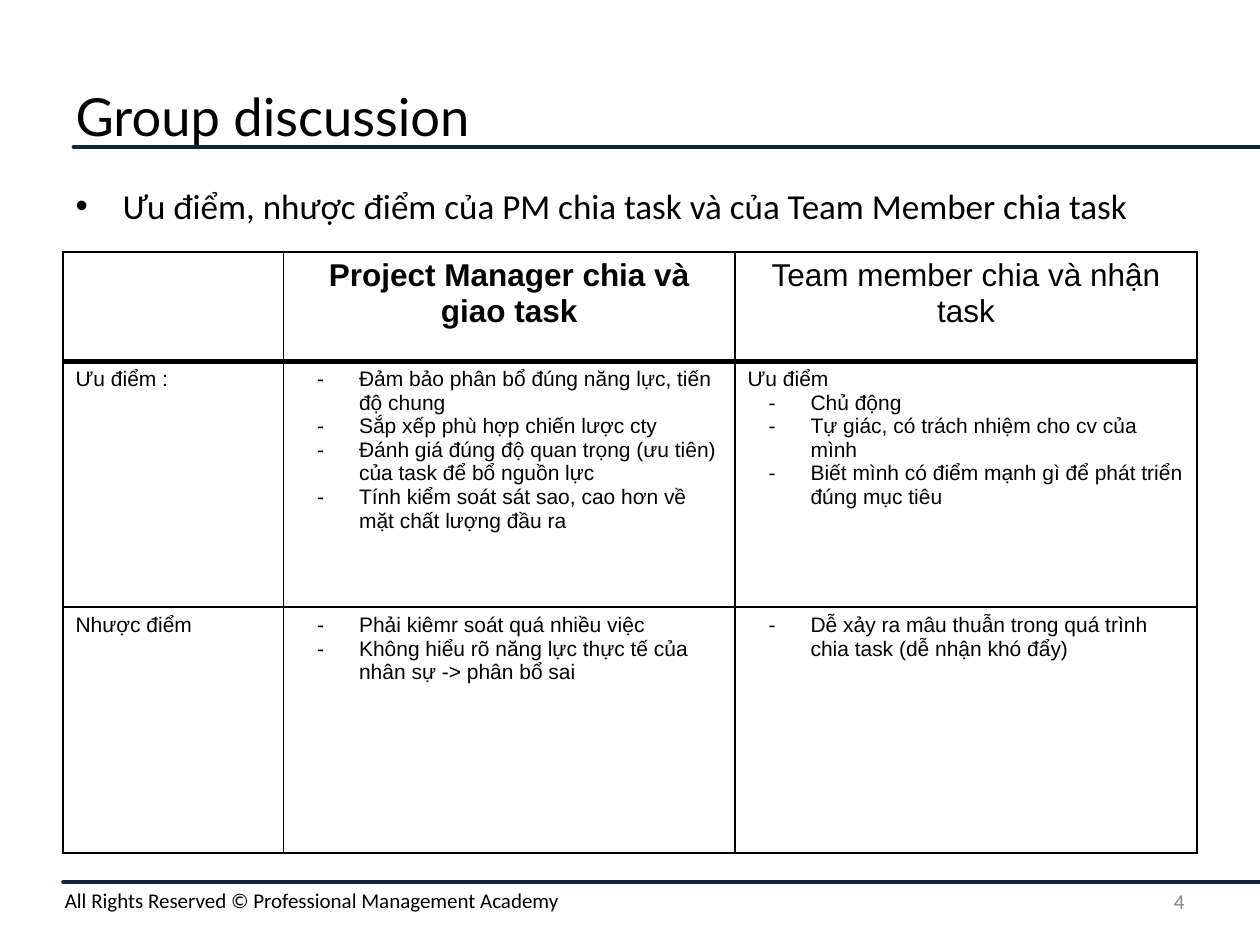
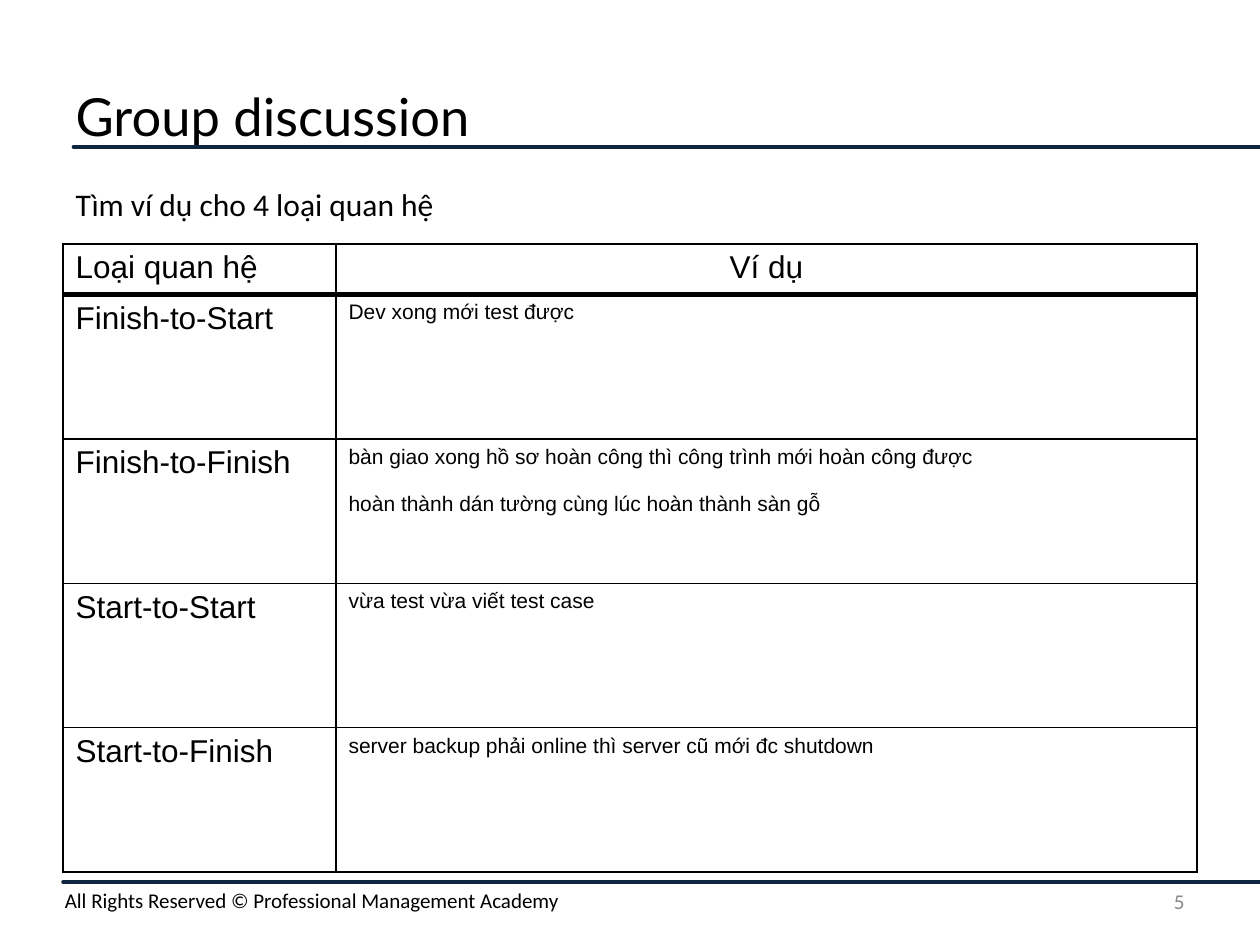
from lxml import etree
from pptx import Presentation
from pptx.dml.color import RGBColor
from pptx.enum import shapes, text
from pptx.oxml.ns import qn
from pptx.util import Pt

COLORS = {"ink": "000000", "rule": "0F243E", "number": "888888", "paper": "FFFFFF"}
LEFT, CENTER, RIGHT = text.PP_ALIGN.LEFT, text.PP_ALIGN.CENTER, text.PP_ALIGN.RIGHT


def write(paragraph, words, size, font, color="ink", bold=False, align=LEFT,
          bullet=None, indent=0, hang=0):
    """Add one run, with an optional hanging bullet, to a paragraph."""
    paragraph.alignment = align
    paragraph.space_before = Pt(0)
    props = paragraph._p.get_or_add_pPr()
    props.set("marL", str(Pt(indent)))
    props.set("indent", str(-Pt(hang)))
    if bullet:
        bullet_color = etree.SubElement(props, qn("a:buClr"))
        etree.SubElement(bullet_color, qn("a:srgbClr"), val=COLORS["ink"])
        etree.SubElement(props, qn("a:buFont"), typeface="Arial")
        etree.SubElement(props, qn("a:buChar"), char=bullet)
    else:
        etree.SubElement(props, qn("a:buNone"))
    run = paragraph.add_run()
    run.text = words
    run.font.size = Pt(size)
    run.font.name = font
    run.font.bold = bold
    run.font.color.rgb = RGBColor.from_string(COLORS[color])


def style_cell(cell, top, bottom):
    """White cell with black borders; top and bottom are widths in points."""
    props = cell._tc.get_or_add_tcPr()
    for side, width in (("lnL", 1), ("lnR", 1), ("lnT", top), ("lnB", bottom)):
        border = etree.SubElement(props, qn("a:" + side), w=str(Pt(width)))
        paint = etree.SubElement(border, qn("a:solidFill"))
        etree.SubElement(paint, qn("a:srgbClr"), val=COLORS["ink"])
    cell.fill.solid()
    cell.fill.fore_color.rgb = RGBColor.from_string(COLORS["paper"])


# Content: header cells are (words, alignment, bold); "- " starts a bullet
discussions = [
    {
        "number": "4",
        "prompt": "Ưu điểm, nhược điểm của PM chia task và của Team Member chia task",
        "prompt_style": {"size": 20, "bullet": "•", "indent": 27, "hang": 27},
        "top": 144, "widths": [126, 258, 264], "heights": [62.6, 140.4, 140.4],
        "label_size": 12,
        "header": [("", LEFT, False),
                   ("Project Manager chia và giao task", CENTER, True),
                   ("Team member chia và nhận task", CENTER, False)],
        "rows": [
            [["Ưu điểm :"],
             ["- Đảm bảo phân bổ đúng năng lực, tiến độ chung",
              "- Sắp xếp phù hợp chiến lược cty",
              "- Đánh giá đúng độ quan trọng (ưu tiên) của task để bổ nguồn lực",
              "- Tính kiểm soát sát sao, cao hơn về mặt chất lượng đầu ra"],
             ["Ưu điểm",
              "- Chủ động",
              "- Tự giác, có trách nhiệm cho cv của mình",
              "- Biết mình có điểm mạnh gì để phát triển đúng mục tiêu"]],
            [["Nhược điểm"],
             ["- Phải kiêmr soát quá nhiều việc",
              "- Không hiểu rõ năng lực thực tế của nhân sự -> phân bổ sai"],
             ["- Dễ xảy ra mâu thuẫn trong quá trình chia task (dễ nhận khó đẩy)"]],
        ],
        "gap": 0,
    },
    {
        "number": "5",
        "prompt": "Tìm ví dụ cho 4 loại quan hệ",
        "prompt_style": {"size": 18},
        "top": 139.5, "widths": [156, 492], "heights": [27.4] + [82.5] * 4,
        "label_size": 18,
        "header": [("Loại quan hệ", LEFT, False), ("Ví dụ", CENTER, False)],
        "rows": [
            [["Finish-to-Start"], ["Dev xong mới test được"]],
            [["Finish-to-Finish"],
             ["bàn giao xong hồ sơ hoàn công thì công trình mới hoàn công được",
              "hoàn thành dán tường cùng lúc hoàn thành sàn gỗ"]],
            [["Start-to-Start"], ["vừa test vừa viết test case"]],
            [["Start-to-Finish"],
             ["server backup phải online thì server cũ mới đc shutdown"]],
        ],
        "gap": 13.5,
    },
]

prs = Presentation()
prs.slide_width, prs.slide_height = Pt(720), Pt(540)

for discussion in discussions:
    slide = prs.slides.add_slide(prs.slide_layouts[1])

    # Rules under the title and above the footer
    for start, y in ((42, 84), (36, 504)):
        rule = slide.shapes.add_connector(
            shapes.MSO_CONNECTOR.STRAIGHT, Pt(start), Pt(y), Pt(720), Pt(y))
        rule.line.color.rgb = RGBColor.from_string(COLORS["rule"])
        rule.line.width = Pt(2)
        rule.line._get_or_add_ln().set("cap", "rnd")
        etree.SubElement(rule._element.spPr, qn("a:effectLst"))

    # Footer and slide number
    for words, box, color, align, anchor in (
            ("All Rights Reserved © Professional Management Academy",
             (30, 503.5, 690, 21.8), "ink", LEFT, text.MSO_ANCHOR.TOP),
            (discussion["number"], (516, 500.5, 168, 28.8), "number", RIGHT,
             text.MSO_ANCHOR.MIDDLE)):
        footer = slide.shapes.add_textbox(*map(Pt, box)).text_frame
        footer.word_wrap = True
        footer.vertical_anchor = anchor
        write(footer.paragraphs[0], words, 12, "Calibri", color, align=align)

    # Title and prompt
    title, prompt = slide.shapes.title, slide.placeholders[1]
    for holder, top, height, anchor in ((title, 36, 60, text.MSO_ANCHOR.MIDDLE),
                                        (prompt, 102, 380, text.MSO_ANCHOR.TOP)):
        holder.left, holder.top = Pt(36), Pt(top)
        holder.width, holder.height = Pt(648), Pt(height)
        holder.text_frame.vertical_anchor = anchor
        holder.text_frame.auto_size = text.MSO_AUTO_SIZE.NONE
    write(title.text_frame.paragraphs[0], "Group discussion", 30, "Lato")
    write(prompt.text_frame.paragraphs[0], discussion["prompt"], font="Calibri",
          **discussion["prompt_style"])

    # Table grid
    widths, heights = discussion["widths"], discussion["heights"]
    answers = slide.shapes.add_table(
        len(heights), len(widths), Pt(36), Pt(discussion["top"]),
        Pt(sum(widths)), Pt(sum(heights))).table
    answers.first_row = answers.horz_banding = False
    for column, width in zip(answers.columns, widths):
        column.width = Pt(width)
    for r, height in enumerate(heights):
        answers.rows[r].height = Pt(height)
        for cell in answers.rows[r].cells:
            style_cell(cell, top=3 if r == 1 else 1, bottom=3 if r == 0 else 1)

    # Header row
    for c, (words, align, bold) in enumerate(discussion["header"]):
        if words:
            write(answers.cell(0, c).text_frame.paragraphs[0], words, 18, "Arial",
                  bold=bold, align=align)

    # Answer rows
    for r, row in enumerate(discussion["rows"], 1):
        for c, lines in enumerate(row):
            frame = answers.cell(r, c).text_frame
            size = discussion["label_size"] if c == 0 else 12
            for i, line in enumerate(lines):
                paragraph = frame.add_paragraph() if i else frame.paragraphs[0]
                if line.startswith("- "):
                    write(paragraph, line[2:], size, "Arial", bullet="-",
                          indent=36, hang=24)
                else:
                    write(paragraph, line, size, "Arial")
                if i:
                    paragraph.space_before = Pt(discussion["gap"])

prs.save("out.pptx")
